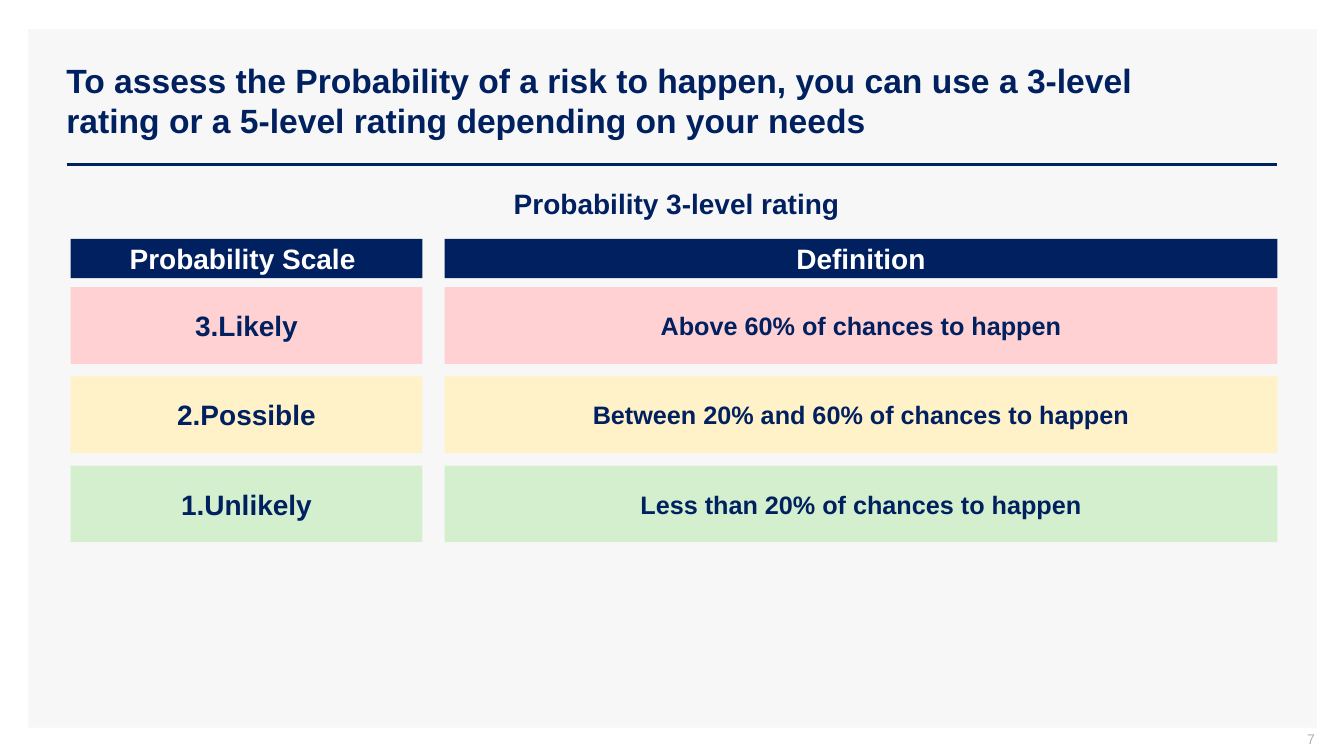
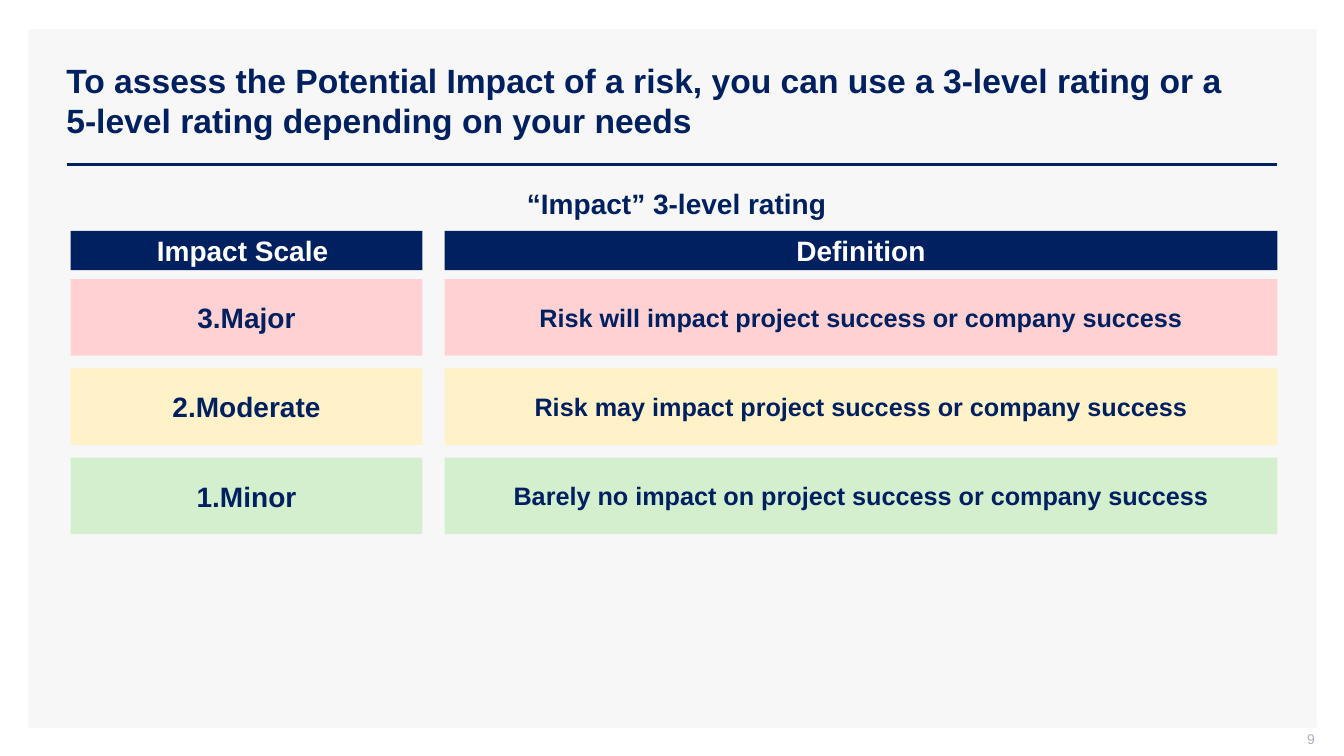
from dataclasses import dataclass
from typing import NamedTuple

from lxml import etree
from pptx import Presentation
from pptx.dml.color import RGBColor
from pptx.enum.shapes import MSO_CONNECTOR, MSO_SHAPE
from pptx.enum.text import MSO_ANCHOR, PP_ALIGN
from pptx.oxml.ns import qn
from pptx.slide import Slide
from pptx.util import Inches, Pt

STRAIGHT = MSO_CONNECTOR.STRAIGHT
RECTANGLE = MSO_SHAPE.RECTANGLE
TOP, MIDDLE = MSO_ANCHOR.TOP, MSO_ANCHOR.MIDDLE
LEFT, CENTER, RIGHT = PP_ALIGN.LEFT, PP_ALIGN.CENTER, PP_ALIGN.RIGHT

NAVY = RGBColor(0x00, 0x20, 0x60)
WHITE = RGBColor(0xFF, 0xFF, 0xFF)
PANEL_GREY = RGBColor(0xF7, 0xF7, 0xF7)
NUMBER_GREY = RGBColor(0xAD, 0xAF, 0xBB)
RED = RGBColor(0xFF, 0xD1, 0xD2)
YELLOW = RGBColor(0xFF, 0xF2, 0xC9)
GREEN = RGBColor(0xD3, 0xEF, 0xCE)
LEVEL_COLOURS = (RED, YELLOW, GREEN)

FONT = "Arial"
SLIDE_WIDTH, SLIDE_HEIGHT = 13.33, 7.5

RIGHT_EDGE = 12.67
RULE_LEFT, RULE_TOP = 0.66, 1.63
SCALE_LEFT, SCALE_WIDTH = 0.7, 3.49
COLUMN_GAP = 0.22
DEFINITION_LEFT = SCALE_LEFT + SCALE_WIDTH + COLUMN_GAP
COLUMNS = (
    (SCALE_LEFT, SCALE_WIDTH),
    (DEFINITION_LEFT, RIGHT_EDGE - DEFINITION_LEFT),
)
HEADER_HEIGHT, HEADER_PITCH = 0.39, 0.48
LEVEL_HEIGHT, LEVELS_HEIGHT = 0.76, 2.53
LEVEL_PITCH = (LEVELS_HEIGHT - LEVEL_HEIGHT) / (len(LEVEL_COLOURS) - 1)


class Box(NamedTuple):
    left: float
    top: float
    width: float
    height: float


@dataclass(frozen=True)
class TextStyle:
    size: int
    colour: RGBColor = NAVY
    bold: bool = True
    align: PP_ALIGN = CENTER
    anchor: MSO_ANCHOR = MIDDLE
    margins: tuple[float, float, float, float] = (0.1, 0.05, 0.1, 0.05)


@dataclass(frozen=True)
class Level:
    name: str
    definition: str


@dataclass(frozen=True)
class RatingSlide:
    title: str
    number: int
    subtitle: str
    scale_name: str
    table_top: float
    levels: tuple[Level, Level, Level]


PANEL = Box(0.28, 0.29, 12.78, 6.93)
TITLE = Box(0.56, 0.4, 11.75, 1.19)
SUBTITLE = Box(3.65, 1.8, 6.2, 0.44)
PAGE_NUMBER = Box(10.04, 7.25, 3, 0.21)

TITLE_STYLE = TextStyle(24, align=LEFT)
SUBTITLE_STYLE = TextStyle(20, anchor=TOP)
HEADER_STYLE = TextStyle(20, colour=WHITE)
LEVEL_STYLE = TextStyle(20)
DEFINITION_STYLE = TextStyle(18)
NUMBER_STYLE = TextStyle(
    10, colour=NUMBER_GREY, bold=False, align=RIGHT, margins=(0.1, 0, 0, 0.05)
)

RATINGS = (
    RatingSlide(
        "To assess the Probability of a risk to happen, you can use a 3-level "
        "rating or a 5-level rating depending on your needs",
        7,
        "Probability 3-level rating ",
        "Probability Scale ",
        2.37,
        (
            Level("3.Likely", "Above 60% of chances to happen"),
            Level("2.Possible", "Between 20% and 60% of chances to happen"),
            Level("1.Unlikely", "Less than 20% of chances to happen"),
        ),
    ),
    RatingSlide(
        "To assess the Potential Impact of a risk, you can use a 3-level "
        "rating or a 5-level rating depending on your needs",
        9,
        "“Impact” 3-level rating ",
        "Impact Scale ",
        2.29,
        (
            Level("3.Major", "Risk will impact project success or company success"),
            Level("2.Moderate", "Risk may impact project success or company success"),
            Level("1.Minor", "Barely no impact on project success or company success"),
        ),
    ),
)


def write(frame, text: str, style: TextStyle) -> None:
    left, top, right, bottom = style.margins
    frame_format = {
        "word_wrap": True,
        "vertical_anchor": style.anchor,
        "margin_left": Inches(left),
        "margin_top": Inches(top),
        "margin_right": Inches(right),
        "margin_bottom": Inches(bottom),
    }
    for name, value in frame_format.items():
        setattr(frame, name, value)
    paragraph = frame.paragraphs[0]
    paragraph.alignment = style.align
    run = paragraph.add_run()
    run.text = text
    font_format = {"name": FONT, "size": Pt(style.size), "bold": style.bold}
    for name, value in font_format.items():
        setattr(run.font, name, value)
    run.font.color.rgb = style.colour


def add_label(slide: Slide, box: Box, text: str, style: TextStyle) -> None:
    label = slide.shapes.add_textbox(*map(Inches, box))
    write(label.text_frame, text, style)


def add_block(slide: Slide, box: Box, fill: RGBColor):
    block = slide.shapes.add_shape(RECTANGLE, *map(Inches, box))
    block.shadow.inherit = False
    block.fill.solid()
    block.fill.fore_color.rgb = fill
    block.line.fill.background()
    return block


def add_row(
    slide: Slide,
    top: float,
    height: float,
    fill: RGBColor,
    texts: tuple[str, str],
    styles: tuple[TextStyle, TextStyle],
) -> None:
    for (left, width), text, style in zip(COLUMNS, texts, styles):
        cell = add_block(slide, Box(left, top, width, height), fill)
        write(cell.text_frame, text, style)


def add_frame(slide: Slide, title: str, number: int) -> None:
    add_block(slide, PANEL, PANEL_GREY)
    rule = slide.shapes.add_connector(
        STRAIGHT, *map(Inches, (RULE_LEFT, RULE_TOP, RIGHT_EDGE, RULE_TOP))
    )
    rule.line.color.rgb = NAVY
    rule.line.width = Pt(2)
    etree.SubElement(rule._element.spPr, qn("a:effectLst"))
    add_label(slide, TITLE, title, TITLE_STYLE)
    add_label(slide, PAGE_NUMBER, str(number), NUMBER_STYLE)


def add_rating(slide: Slide, rating: RatingSlide) -> None:
    add_frame(slide, rating.title, rating.number)
    add_label(slide, SUBTITLE, rating.subtitle, SUBTITLE_STYLE)
    add_row(
        slide,
        rating.table_top,
        HEADER_HEIGHT,
        NAVY,
        (rating.scale_name, "Definition"),
        (HEADER_STYLE, HEADER_STYLE),
    )
    levels_top = rating.table_top + HEADER_PITCH
    for row, (level, colour) in enumerate(zip(rating.levels, LEVEL_COLOURS)):
        add_row(
            slide,
            levels_top + row * LEVEL_PITCH,
            LEVEL_HEIGHT,
            colour,
            (level.name, level.definition),
            (LEVEL_STYLE, DEFINITION_STYLE),
        )


def main() -> None:
    deck = Presentation()
    deck.slide_width = Inches(SLIDE_WIDTH)
    deck.slide_height = Inches(SLIDE_HEIGHT)
    blank = deck.slide_layouts[6]
    for rating in RATINGS:
        add_rating(deck.slides.add_slide(blank), rating)
    deck.save("out.pptx")


if __name__ == "__main__":
    main()
